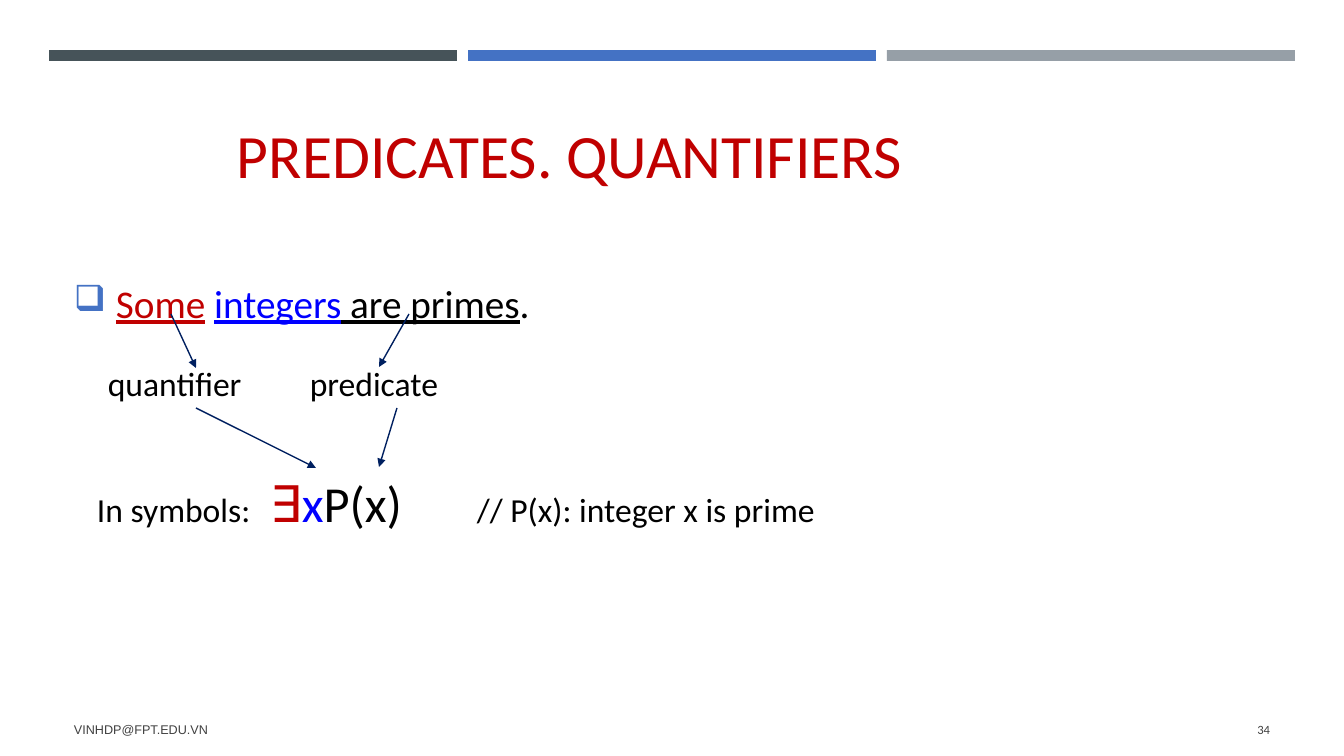
from lxml import etree
from pptx import Presentation, util as u
from pptx.dml.color import RGBColor
from pptx.enum import shapes, text
from pptx.oxml.ns import qn

COLORS = {"slate": "465359", "blue": "4472C4", "silver": "969FA7", "red": "C00000",
          "bright": "0000FF", "black": "000000", "grey": "404040", "navy": "002060"}
BARS = ["slate", "blue", "silver"]
BAR_LEFT, BAR_TOP, BAR_WIDTH, BAR_HEIGHT, BAR_STEP = 49, 50, 408, 11, 419

TOP, MIDDLE, BOTTOM = text.MSO_ANCHOR.TOP, text.MSO_ANCHOR.MIDDLE, text.MSO_ANCHOR.BOTTOM
BOXES = [
    {"at": (227, 60, 948, 131), "anchor": BOTTOM,
     "runs": [("PREDICATES. QUANTIFIERS", 44, "red")]},
    {"at": (64, 274, 1216, 58), "bullet": "❑", "indent": 42,
     "runs": [("Some", 28, "red", True), (" ", 28, "grey"),
              ("integers", 28, "bright", True), (" are primes", 28, "black", True),
              (".", 28, "black")]},
    {"at": (98, 358, 412, 50), "tabs": [202],
     "runs": [("quantifier\tpredicate", 24, "black")]},
    {"at": (87, 467, 1193, 60), "tabs": [173, 380],
     "runs": [("In symbols:\t", 24, "black"), ("∃", 36, "red"), ("x", 36, "bright"),
              ("P(x)\t", 36, "black"), ("// P(x): integer x is prime", 24, "black")]},
    {"at": (64, 709, 762, 40), "anchor": MIDDLE, "font": "Arial",
     "runs": [("VINHDP@FPT.EDU.VN", 9, "grey")]},
    {"at": (1164, 709, 116, 40), "anchor": MIDDLE, "align": text.PP_ALIGN.RIGHT,
     "runs": [("34", 9, "grey")]},
]
ARROWS = [((196, 408), (316, 468)), ((397, 408), (379, 467)),
          ((171, 314), (196, 368)), ((409, 314), (379, 367))]


def px(value):
    return u.Inches(value / 100.8)


def rgb(name):
    return RGBColor.from_string(COLORS[name])


def add_child(parent, tag, **attributes):
    return etree.SubElement(parent, qn(tag), {k: str(v) for k, v in attributes.items()})


def add_bar(slide, index, color):
    bar = slide.shapes.add_shape(shapes.MSO_SHAPE.RECTANGLE, px(BAR_LEFT + index * BAR_STEP),
                                 px(BAR_TOP), px(BAR_WIDTH), px(BAR_HEIGHT))
    bar.shadow.inherit = False
    bar.fill.solid()
    bar.fill.fore_color.rgb = rgb(color)
    bar.line.fill.background()


def add_text(slide, at, runs, anchor=TOP, align=text.PP_ALIGN.LEFT, font="Calibri",
             bullet=None, indent=0, tabs=()):
    frame = slide.shapes.add_textbox(*map(px, at)).text_frame
    frame.word_wrap = True
    frame.vertical_anchor = anchor
    if anchor == BOTTOM:
        frame.margin_bottom = 0
    paragraph = frame.paragraphs[0]
    paragraph.alignment = align
    properties = paragraph._p.get_or_add_pPr()
    if bullet:
        properties.set("marL", str(px(indent)))
        properties.set("indent", str(-px(indent)))
        add_child(add_child(properties, "a:buClr"), "a:srgbClr", val=COLORS["blue"])
        add_child(properties, "a:buSzPct", val=92000)
        add_child(properties, "a:buChar", char=bullet)
    if tabs:
        tab_list = add_child(properties, "a:tabLst")
        for tab in tabs:
            add_child(tab_list, "a:tab", pos=px(tab), algn="l")
    for words, size, color, *underline in runs:
        run = paragraph.add_run()
        run.text = words
        run.font.name = font
        run.font.size = u.Pt(size)
        run.font.color.rgb = rgb(color)
        run.font.underline = bool(underline)


def add_arrow(slide, start, end):
    arrow = slide.shapes.add_connector(shapes.MSO_CONNECTOR.STRAIGHT, *map(px, start + end))
    arrow.line.color.rgb = rgb("navy")
    arrow.line.width = u.Pt(1)
    add_child(arrow.line._get_or_add_ln(), "a:tailEnd", type="triangle")
    add_child(arrow._element.spPr, "a:effectLst")


def main():
    presentation = Presentation()
    presentation.slide_width, presentation.slide_height = px(1344), px(756)
    slide = presentation.slides.add_slide(presentation.slide_layouts[6])
    for index, color in enumerate(BARS):
        add_bar(slide, index, color)
    for box in BOXES:
        add_text(slide, **box)
    for start, end in ARROWS:
        add_arrow(slide, start, end)
    presentation.save("out.pptx")


if __name__ == "__main__":
    main()
